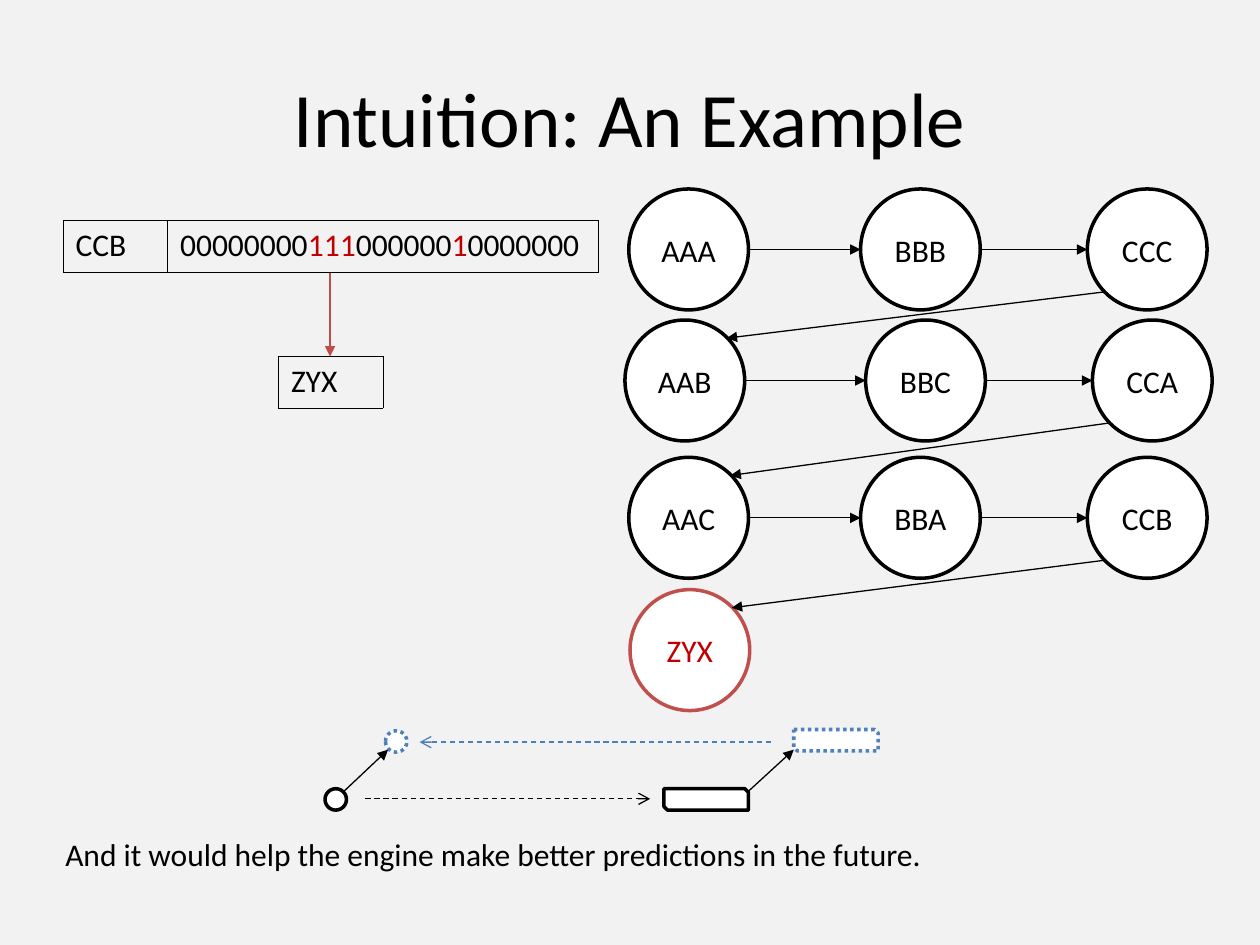
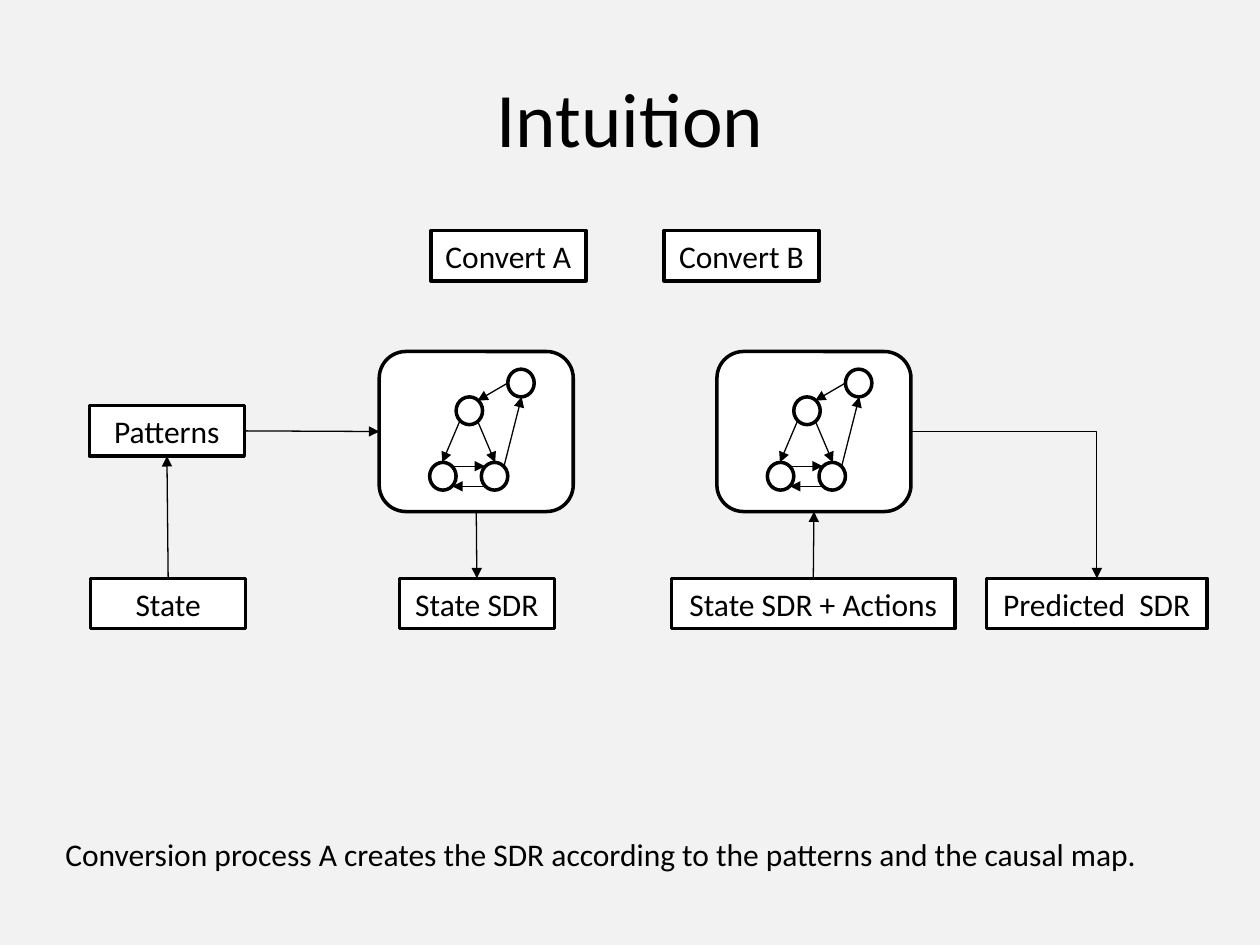
import pptx
import pptx.util
import pptx.dml.color
import pptx.enum.dml
import pptx.enum.shapes
import pptx.enum.text
import pptx.oxml.ns
import pptx.oxml.xmlchemy

Inches = pptx.util.Inches
Pt = pptx.util.Pt
Kind = pptx.enum.shapes.MSO_SHAPE
Dash = pptx.enum.dml.MSO_LINE
Align = pptx.enum.text.PP_ALIGN
Anchor = pptx.enum.text.MSO_ANCHOR
Connector = pptx.enum.shapes.MSO_CONNECTOR
qn = pptx.oxml.ns.qn
new_element = pptx.oxml.xmlchemy.OxmlElement

COLORS = {
    "background": "F2F2F2", "white": "FFFFFF", "black": "000000",
    "red": "C0504D", "red text": "C00000", "red arrow": "BF4C48",
    "blue": "4F81BD", "blue arrow": "4B7EBC",
}
FONT = "Calibri"
TOP, LEFT, BOTTOM, RIGHT = range(4)

EXAMPLE_TITLE = "Intuition: An Example"
EXAMPLE_NOTE = "And it would help the engine make better predictions in the future."
STATE_ROWS = [
    (1.5, [(4.99, "AAA"), (6.83, "BBB"), (8.63, "CCC")]),
    (2.54, [(4.96, "AAB"), (6.87, "BBC"), (8.67, "CCA")]),
    (3.63, [(4.99, "AAC"), (6.83, "BBA"), (8.63, "CCB")]),
    (4.68, [(5, "ZYX")]),
]
STATE_WIDTH, STATE_HEIGHT = 0.95, 0.96
NEAR, FAR = 0.15, 0.85
PATTERN_CELLS = [
    [("CCB", "black")],
    [("00000000", "black"), ("111", "red text"), ("000000", "black"),
     ("1", "red text"), ("0000000", "black")],
]
RESULT_CELLS = [[("ZYX", "black")]]
LEGEND = [
    (Kind.FLOWCHART_CONNECTOR, 2.58, 6.26, 0.17, "black", None),
    (Kind.SNIP_2_DIAG_RECTANGLE, 5.27, 6.26, 0.67, "black", None),
    (Kind.SNIP_2_DIAG_RECTANGLE, 6.3, 5.79, 0.67, "blue", Dash.ROUND_DOT),
    (Kind.FLOWCHART_CONNECTOR, 3.06, 5.8, 0.17, "blue", Dash.ROUND_DOT),
]
LEGEND_ARROWS = [((2.73, 6.28), (3.08, 5.95)), ((5.94, 6.28), (6.3, 5.95))]
DASHED_ARROWS = [
    ((2.9, 6.34), (5.16, 6.34), "black"),
    ((6.12, 5.89), (3.33, 5.89), "blue arrow"),
]

PROCESS_TITLE = "Intuition"
PROCESS_NOTE = "Conversion process A creates the SDR according to the patterns and the causal map."
PROCESS_BOXES = [
    ("Convert A", 3.42, 1.83, 1.23),
    ("Convert B", 5.27, 1.83, 1.23),
    ("Patterns", 0.71, 3.22, 1.23),
    ("State", 0.72, 4.59, 1.23),
    ("State SDR", 3.17, 4.59, 1.23),
    ("State SDR + Actions", 5.33, 4.59, 2.25),
    ("Predicted  SDR", 7.83, 4.59, 1.75),
]
CAUSAL_MAPS = [("Map A", 3.01), ("Map B", 5.69)]
MAP_TOP = 2.79
MAP_NODES = [(0.61, 0.36), (0.81, 0.88), (0.4, 0.88), (1.02, 0.14)]
MAP_ARROWS = [
    ((0.78, 0.55), (0.92, 0.88)), ((0.64, 0.55), (0.5, 0.88)),
    ((0.58, 0.91), (0.84, 0.91)), ((0.84, 1.07), (0.58, 1.07)),
    ((0.99, 0.91), (1.13, 0.36)), ((1.02, 0.25), (0.78, 0.39)),
]
FLOWS = [
    ("State", TOP, "Patterns", BOTTOM, Connector.STRAIGHT),
    ("Patterns", RIGHT, "Map A", LEFT, Connector.STRAIGHT),
    ("Map A", BOTTOM, "State SDR", TOP, Connector.STRAIGHT),
    ("State SDR + Actions", TOP, "Map B", BOTTOM, Connector.STRAIGHT),
    ("Map B", RIGHT, "Predicted  SDR", TOP, Connector.ELBOW),
]


def rgb(name):
    return pptx.dml.color.RGBColor.from_string(COLORS[name])


def style_paragraph(paragraph, size=18, color="black", align=None):
    paragraph.font.name = FONT
    paragraph.font.size = Pt(size)
    paragraph.font.color.rgb = rgb(color)
    paragraph.alignment = align


def add_text(slide, text, left, top, width, height, size=18, align=None, anchor=Anchor.TOP):
    box = slide.shapes.add_textbox(Inches(left), Inches(top), Inches(width), Inches(height))
    frame = box.text_frame
    frame.word_wrap = True
    frame.vertical_anchor = anchor
    frame.text = text
    style_paragraph(frame.paragraphs[0], size, align=align)


def add_slide(presentation, title, note):
    slide = presentation.slides.add_slide(presentation.slide_layouts[6])
    slide.background.fill.solid()
    slide.background.fill.fore_color.rgb = rgb("background")
    add_text(slide, title, 0.5, 0.3, 9, 1.25, 44, Align.CENTER, Anchor.MIDDLE)
    add_text(slide, note, 0.42, 6.58, 9.17, 0.4)
    return slide


def add_outlined(slide, kind, left, top, width, height, text="", line="black",
                 color="black", dash=None):
    shape = slide.shapes.add_shape(kind, Inches(left), Inches(top), Inches(width), Inches(height))
    shape.shadow.inherit = False
    shape.fill.solid()
    shape.fill.fore_color.rgb = rgb("white")
    shape.line.color.rgb = rgb(line)
    shape.line.width = Pt(2)
    if dash:
        shape.line.dash_style = dash
    if text:
        shape.text_frame.text = text
        style_paragraph(shape.text_frame.paragraphs[0], color=color, align=Align.CENTER)
    return shape


def add_arrow(slide, start=(0, 0), end=(0, 0), color="black", dash=None, head="triangle",
              kind=Connector.STRAIGHT):
    points = [Inches(value) for value in (*start, *end)]
    arrow = slide.shapes.add_connector(kind, *points)
    arrow.line.color.rgb = rgb(color)
    arrow.line.width = Pt(0.75)
    if dash:
        arrow.line.dash_style = dash
    properties = arrow._element.spPr
    tail = new_element("a:tailEnd")
    tail.set("type", head)
    properties.find(qn("a:ln")).append(tail)
    properties.append(new_element("a:effectLst"))
    return arrow


def add_cell_borders(cell):
    properties = cell._tc.get_or_add_tcPr()
    for index, side in enumerate(("a:lnL", "a:lnR", "a:lnT", "a:lnB")):
        line = new_element(side)
        line.set("w", str(Pt(0.25)))
        fill = new_element("a:solidFill")
        color = new_element("a:srgbClr")
        color.set("val", COLORS["black"])
        fill.append(color)
        line.append(fill)
        properties.insert(index, line)


def add_row_table(slide, cells, left, top, widths):
    table = slide.shapes.add_table(1, len(cells), Inches(left), Inches(top),
                                   Inches(sum(widths)), Inches(0.41)).table
    table.first_row = False
    table.horz_banding = False
    for index, (runs, width) in enumerate(zip(cells, widths)):
        table.columns[index].width = Inches(width)
        cell = table.cell(0, index)
        cell.fill.background()
        add_cell_borders(cell)
        paragraph = cell.text_frame.paragraphs[0]
        style_paragraph(paragraph)
        for text, color in runs:
            run = paragraph.add_run()
            run.text = text
            run.font.name = FONT
            run.font.size = Pt(18)
            run.font.color.rgb = rgb(color)


def build_example(presentation):
    slide = add_slide(presentation, EXAMPLE_TITLE, EXAMPLE_NOTE)
    for kind, left, top, width, color, dash in LEGEND:
        add_outlined(slide, kind, left, top, width, 0.17, line=color, dash=dash)
    for start, end in LEGEND_ARROWS:
        add_arrow(slide, start, end)
    for start, end, color in DASHED_ARROWS:
        add_arrow(slide, start, end, color, Dash.DASH, "arrow")

    for top, states in STATE_ROWS:
        for left, name in states:
            goal = name == "ZYX"
            add_outlined(slide, Kind.OVAL, left, top, STATE_WIDTH, STATE_HEIGHT, name,
                         "red" if goal else "black", "red text" if goal else "black")
        middle = top + STATE_HEIGHT / 2
        for (left, _), (next_left, _) in zip(states, states[1:]):
            add_arrow(slide, (left + STATE_WIDTH, middle), (next_left, middle))
    for (top, states), (next_top, next_states) in zip(STATE_ROWS, STATE_ROWS[1:]):
        start = states[-1][0] + NEAR * STATE_WIDTH, top + FAR * STATE_HEIGHT
        end = next_states[0][0] + FAR * STATE_WIDTH, next_top + NEAR * STATE_HEIGHT
        add_arrow(slide, start, end)

    add_arrow(slide, (2.62, 2.16), (2.62, 2.83), "red arrow")
    add_row_table(slide, PATTERN_CELLS, 0.5, 1.75, [0.83, 3.42])
    add_row_table(slide, RESULT_CELLS, 2.21, 2.83, [0.83])


def add_causal_map(slide, left):
    frame = add_outlined(slide, Kind.ROUNDED_RECTANGLE, left, MAP_TOP, 1.54, 1.27)
    for x, y in MAP_NODES:
        add_outlined(slide, Kind.FLOWCHART_CONNECTOR, left + x, MAP_TOP + y, 0.21, 0.22)
    for start, end in MAP_ARROWS:
        add_arrow(slide, *((left + x, MAP_TOP + y) for x, y in (start, end)))
    return frame


def build_process(presentation):
    slide = add_slide(presentation, PROCESS_TITLE, PROCESS_NOTE)
    parts = {}
    for text, left, top, width in PROCESS_BOXES:
        parts[text] = add_outlined(slide, Kind.RECTANGLE, left, top, width, 0.4, text)
    for name, left in CAUSAL_MAPS:
        parts[name] = add_causal_map(slide, left)
    for source, source_side, target, target_side, kind in FLOWS:
        arrow = add_arrow(slide, kind=kind)
        arrow.begin_connect(parts[source], source_side)
        arrow.end_connect(parts[target], target_side)
        if kind == Connector.ELBOW:
            arrow._element.spPr.find(qn("a:prstGeom")).set("prst", "bentConnector2")


def main():
    presentation = pptx.Presentation()
    presentation.slide_width = Inches(10)
    presentation.slide_height = Inches(7.5)
    build_example(presentation)
    build_process(presentation)
    presentation.save("out.pptx")


if __name__ == "__main__":
    main()
